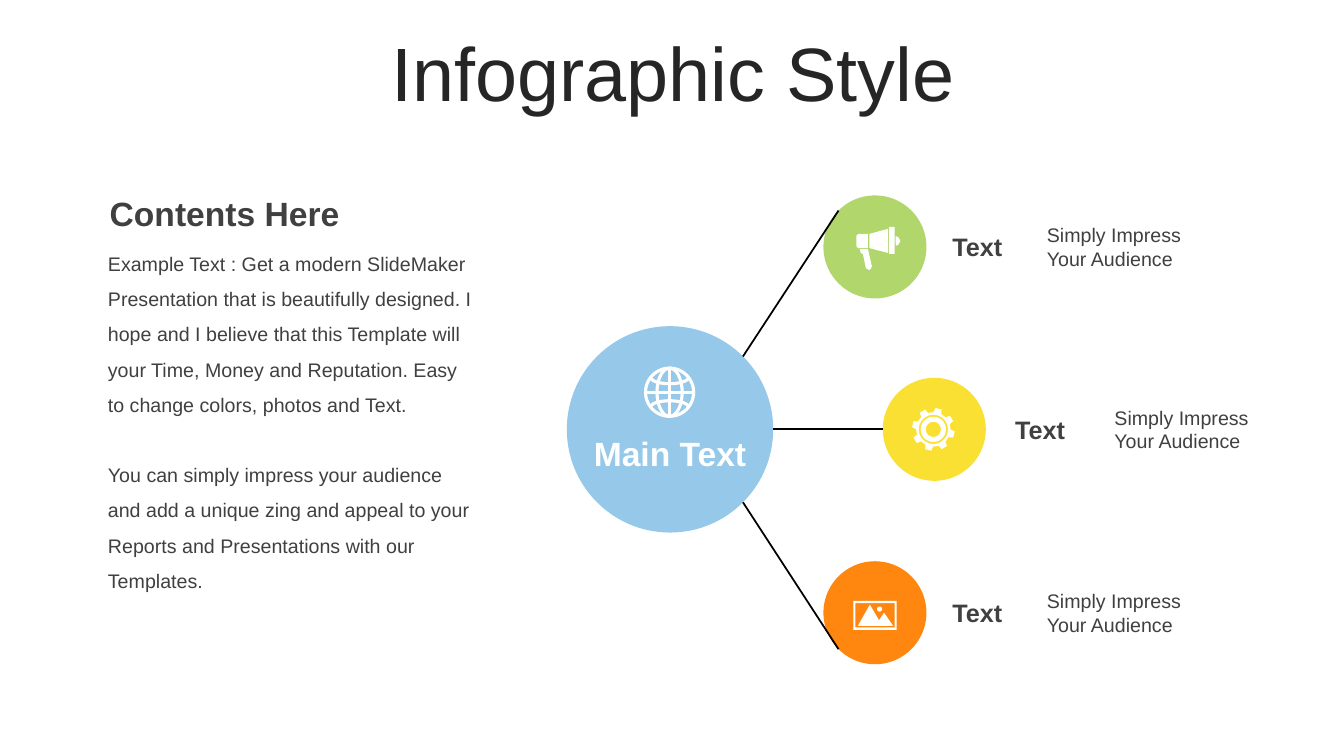
from math import cos, pi, sin

from pptx import Presentation
from pptx.dml.color import RGBColor
from pptx.enum.shapes import MSO_CONNECTOR as Link, MSO_SHAPE as Preset
from pptx.enum.text import MSO_ANCHOR as Anchor, PP_ALIGN as Align
from pptx.oxml.ns import qn
from pptx.util import Pt

INK = RGBColor(0x26, 0x26, 0x26)
GREY = RGBColor(0x40, 0x40, 0x40)
BLACK = RGBColor(0, 0, 0)
WHITE = RGBColor(0xFF, 0xFF, 0xFF)
BLUE = RGBColor(0x96, 0xC8, 0xE9)
GREEN = RGBColor(0xB0, 0xD6, 0x6C)
YELLOW = RGBColor(0xFB, 0xE0, 0x34)
ORANGE = RGBColor(0xFF, 0x87, 0x0F)

# Content
TITLE = "Infographic Style"
HEADING = "Contents Here"
BODY = [
    "Example Text : Get a modern SlideMaker Presentation that is beautifully "
    "designed. I hope and I believe that this Template will your Time, Money "
    "and Reputation. Easy to change colors, photos and Text.",
    "You can simply impress your audience and add a unique zing and appeal "
    "to your Reports and Presentations with our Templates.",
]
HUB_TEXT = "Main Text"
CAPTION = ["Simply Impress", "Your Audience"]
HUB = (478.6, 306.7)
HUB_RADIUS, BADGE_RADIUS = 73.7, 36.8
# icon, colour, label, badge centre, label left, caption left, hub-side angle
BRANCHES = [
    ("megaphone", GREEN, "Text", (625, 176.4), 673.2, 740.7, -45),
    ("gear", YELLOW, "Text", (667.4, 306.7), 718, 789, 0),
    ("landscape", ORANGE, "Text", (625, 437.7), 673.2, 740.7, 45),
]

TITLE_FONT = {"size": Pt(54), "color": INK}
HEADING_FONT = {"size": Pt(24), "bold": True, "color": GREY}
BODY_FONT = {"size": Pt(14), "color": GREY}
LABEL_FONT = {"size": Pt(18), "bold": True, "color": GREY}
HUB_FONT = {"size": Pt(24), "bold": True, "color": WHITE}


# Geometry: angles in degrees, clockwise from the right
def polar(centre, radius, angle):
    turn = angle * pi / 180
    return centre[0] + radius * cos(turn), centre[1] + radius * sin(turn)


def arc(x, y, rx, ry, end=360):
    turns = [step * end * pi / 180 / 48 for step in range(49)]
    return [(x + rx * cos(t), y + ry * sin(t)) for t in turns]


def box(left, top, right, bottom):
    return [(left, top), (right, top), (right, bottom), (left, bottom)]


def gear_teeth(x, y, count=8):
    profile = [(12.3, -13), (15.3, -8.5), (15.3, 8.5), (12.3, 13)]
    return [polar((x, y), radius, -76 + tooth * 360 / count + shift)
            for tooth in range(count) for radius, shift in profile]


# Icon contours, relative to the icon centre
ICONS = {
    "globe": [
        arc(0, 0, 17.2, 17.2), arc(0, 0, 9, 17.2),
        [(0, -17.2), (0, 17.2)], [(-17.2, 0), (17.2, 0)],
        arc(0, -10.4, 13.3, 4.3, 180), arc(0, 10.4, 13.3, -4.3, 180),
    ],
    "megaphone": [
        [(-5, 1.5), (-4.5, 3.6), (-2.2, 13.7), (-2.9, 15.8), (-4.3, 16.4),
         (-6.5, 15.1), (-8.6, 5), (-10.1, 4.3), (-10.8, 1.5)],
        [(-12, -9.3), (-5, -9.3), (-5, 0.8), (-12, 0.8), (-13.2, -0.4),
         (-13.2, -8.1)],
        [(9.4, -13), (9.4, 4.3), (-4, 0.8), (-4, -9.3)],
        box(10.2, -14.4, 14, 5),
        [(14.7, -7.8), (16.7, -7), (18.2, -4.3), (16.7, -1.6), (14.9, -0.8)],
    ],
    "gear": [gear_teeth(-0.7, 0)] + [
        arc(-0.7, 0, radius, radius) for radius in (10.4, 9, 5.4)],
    "landscape": [
        box(-15.5, -8.5, 15.5, 12.2), box(-14, -6.8, 14, 10.5),
        [(-3.6, -5.8), (2.9, 5.4), (6.5, 0), (13, 9.4), (-12.2, 9.4)],
        arc(3.3, -2.6, 1.8, 1.8),
    ],
}

deck = Presentation()
deck.slide_width, deck.slide_height = Pt(960), Pt(540)
shapes = deck.slides.add_slide(deck.slide_layouts[6]).shapes


def add_text(lines, left, top, width, height, style, side=7.2,
             anchor=Anchor.TOP, **paragraph_format):
    frame = shapes.add_textbox(Pt(left), Pt(top), Pt(width), Pt(height)).text_frame
    frame.word_wrap = True
    frame.vertical_anchor = anchor
    frame.margin_left = frame.margin_right = Pt(side)
    frame.text = "\n".join(lines)
    for paragraph in frame.paragraphs:
        for key, value in paragraph_format.items():
            setattr(paragraph, key, value)
        font = paragraph.runs[0].font
        font.name = "Arial"
        for key, value in style.items():
            if key == "color":
                font.color.rgb = value
            else:
                setattr(font, key, value)
    return frame


def add_disc(centre, radius, colour):
    x, y = centre
    disc = shapes.add_shape(Preset.OVAL, Pt(x - radius), Pt(y - radius),
                            Pt(2 * radius), Pt(2 * radius))
    disc.shadow.inherit = False
    disc.fill.solid()
    disc.fill.fore_color.rgb = colour
    disc.line.fill.background()


def add_icon(name, x, y, outlined=False):
    builder = None
    for contour in ICONS[name]:
        start, *rest = [(Pt(x + dx), Pt(y + dy)) for dx, dy in contour]
        if builder is None:
            builder = shapes.build_freeform(*start)
        else:
            builder.move_to(*start)
        builder.add_line_segments(rest, close=not outlined)
    icon = builder.convert_to_shape()
    icon.shadow.inherit = False
    if outlined:
        icon.fill.background()
        icon.line.color.rgb = WHITE
        icon.line.width = Pt(2.25)
    else:
        icon.fill.solid()
        icon.fill.fore_color.rgb = WHITE
        icon.line.fill.background()


# Title and text column
add_text([TITLE], 25.2, 26.6, 911.5, 56.9, TITLE_FONT, anchor=Anchor.MIDDLE,
         alignment=Align.CENTER, line_spacing=0.9)
body = add_text(BODY, 71.3, 167.8, 272.2, 258.5, BODY_FONT, side=5.8,
                line_spacing=1.5)
body.paragraphs[1].space_before = Pt(25)
add_text([HEADING], 71.3, 133.9, 272.2, 36, HEADING_FONT)

# Hub
add_disc(HUB, HUB_RADIUS, BLUE)
add_icon("globe", HUB[0] - 0.3, HUB[1] - 26.5, outlined=True)
add_text([HUB_TEXT], HUB[0] - 72, 306, 144, 36, HUB_FONT, alignment=Align.CENTER)

# Branches
for icon, colour, label, centre, label_left, caption_left, angle in BRANCHES:
    add_disc(centre, BADGE_RADIUS, colour)
    add_icon(icon, *centre)
    ends = polar(centre, BADGE_RADIUS, 180 - angle) + polar(HUB, HUB_RADIUS, angle)
    link = shapes.add_connector(Link.STRAIGHT, *[Pt(end) for end in ends])
    link.line.color.rgb = BLACK
    link.line.width = Pt(1.25)
    link._element.spPr.append(link._element.makeelement(qn("a:effectLst"), {}))
    add_text([label], label_left, centre[1] - 14.4, 57, 28.8, LABEL_FONT)
    add_text(CAPTION, caption_left, centre[1] - 20.5, 124.6, 41, BODY_FONT,
             anchor=Anchor.MIDDLE)

deck.save("out.pptx")
